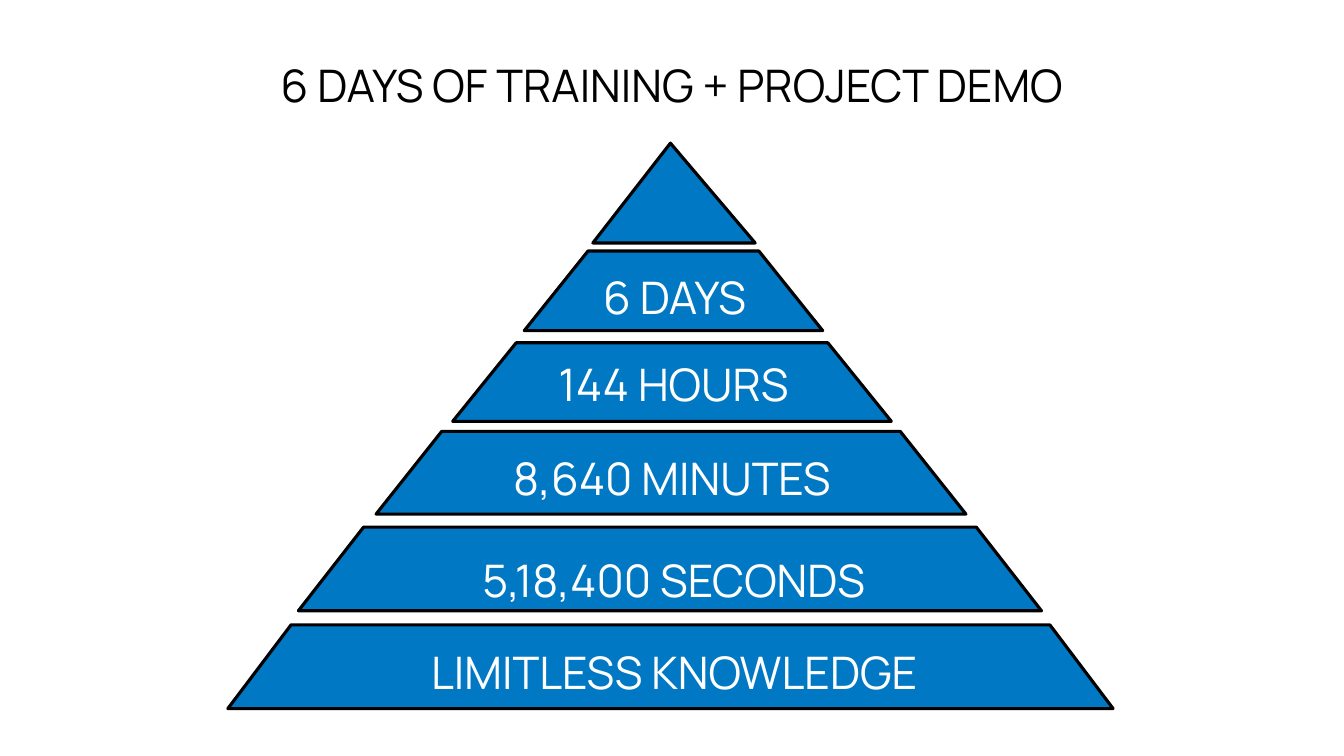
"""Build the training pyramid slide: a title over six stacked levels."""
import pptx
import pptx.dml.color
import pptx.enum.shapes
import pptx.enum.text
import pptx.util

Inches = pptx.util.Inches
Shape = pptx.enum.shapes.MSO_SHAPE

THEME = {
    "band": pptx.dml.color.RGBColor.from_string("0078C4"),
    "ink": pptx.dml.color.RGBColor.from_string("000000"),
    "label": pptx.dml.color.RGBColor.from_string("FFFFFF"),
    "font": "Manrope",
    "size": pptx.util.Pt(32),
    "outline": pptx.util.Pt(2.25),
}
FRAME_FORMAT = {
    "word_wrap": True,
    "auto_size": pptx.enum.text.MSO_AUTO_SIZE.NONE,
    "vertical_anchor": pptx.enum.text.MSO_ANCHOR.MIDDLE,
    "margin_left": 0,
    "margin_top": 0,
    "margin_right": 0,
    "margin_bottom": 0,
}


def write_line(frame, wording, color):
    for name, value in FRAME_FORMAT.items():
        setattr(frame, name, value)
    frame.text = wording
    line = frame.paragraphs[0]
    line.alignment = pptx.enum.text.PP_ALIGN.CENTER
    line.line_spacing = 1.1
    font = line.runs[0].font
    font.name, font.size, font.bold = THEME["font"], THEME["size"], False
    font.color.rgb = color


deck = pptx.Presentation()
deck.slide_width, deck.slide_height = Inches(13.33), Inches(7.5)
slide = deck.slides.add_slide(deck.slide_layouts[0])
subtitle = slide.placeholders[1].element
subtitle.getparent().remove(subtitle)

title = slide.shapes.title
title.left, title.top = Inches(0), Inches(0.24)
title.width, title.height = Inches(13.33), Inches(1.68)
write_line(title.text_frame, "6 DAYS OF TRAINING + PROJECT DEMO", THEME["ink"])
title.text_frame.margin_bottom = Inches(0.54)

levels = [
    (Shape.ISOSCELES_TRIANGLE, (5.88, 1.42, 1.61, 0.99), 0.478),
    (Shape.TRAPEZOID, (5.2, 2.49, 2.96, 0.79), 0.801),
    (Shape.TRAPEZOID, (4.49, 3.4, 4.35, 0.78), 0.808),
    (Shape.TRAPEZOID, (3.73, 4.28, 5.85, 0.82), 0.794),
    (Shape.TRAPEZOID, (2.96, 5.23, 7.37, 0.83), 0.779),
    (Shape.TRAPEZOID, (2.26, 6.2, 8.78, 0.83), 0.755),
]
for outline, box, slant in levels:
    level = slide.shapes.add_shape(outline, *map(Inches, box))
    level.adjustments[0] = slant
    level.shadow.inherit = False
    level.fill.solid()
    level.fill.fore_color.rgb = THEME["band"]
    level.line.color.rgb = THEME["ink"]
    level.line.width = THEME["outline"]

labels = [
    ("6 DAYS", (5.48, 2.6, 2.42, 0.64)),
    ("144 HOURS", (5.2, 3.46, 2.96, 0.64)),
    ("8,640 MINUTES", (4.49, 4.39, 4.35, 0.64)),
    ("5,18,400 SECONDS", (3.95, 5.03, 5.47, 1.38)),
    ("LIMITLESS KNOWLEDGE", (3.87, 5.95, 5.64, 1.38)),
]
for wording, box in labels:
    label = slide.shapes.add_textbox(*map(Inches, box))
    write_line(label.text_frame, wording, THEME["label"])

deck.save("out.pptx")
